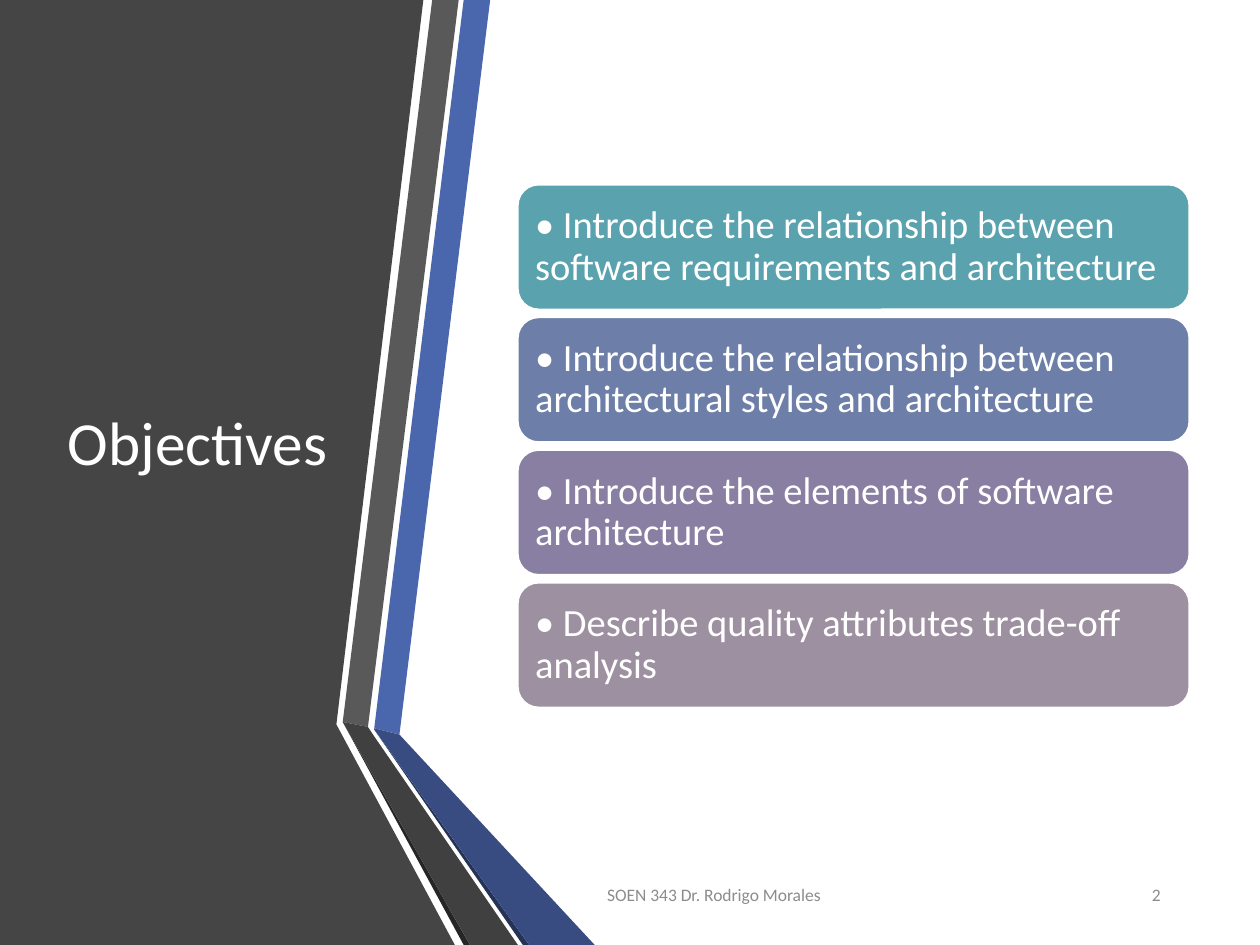
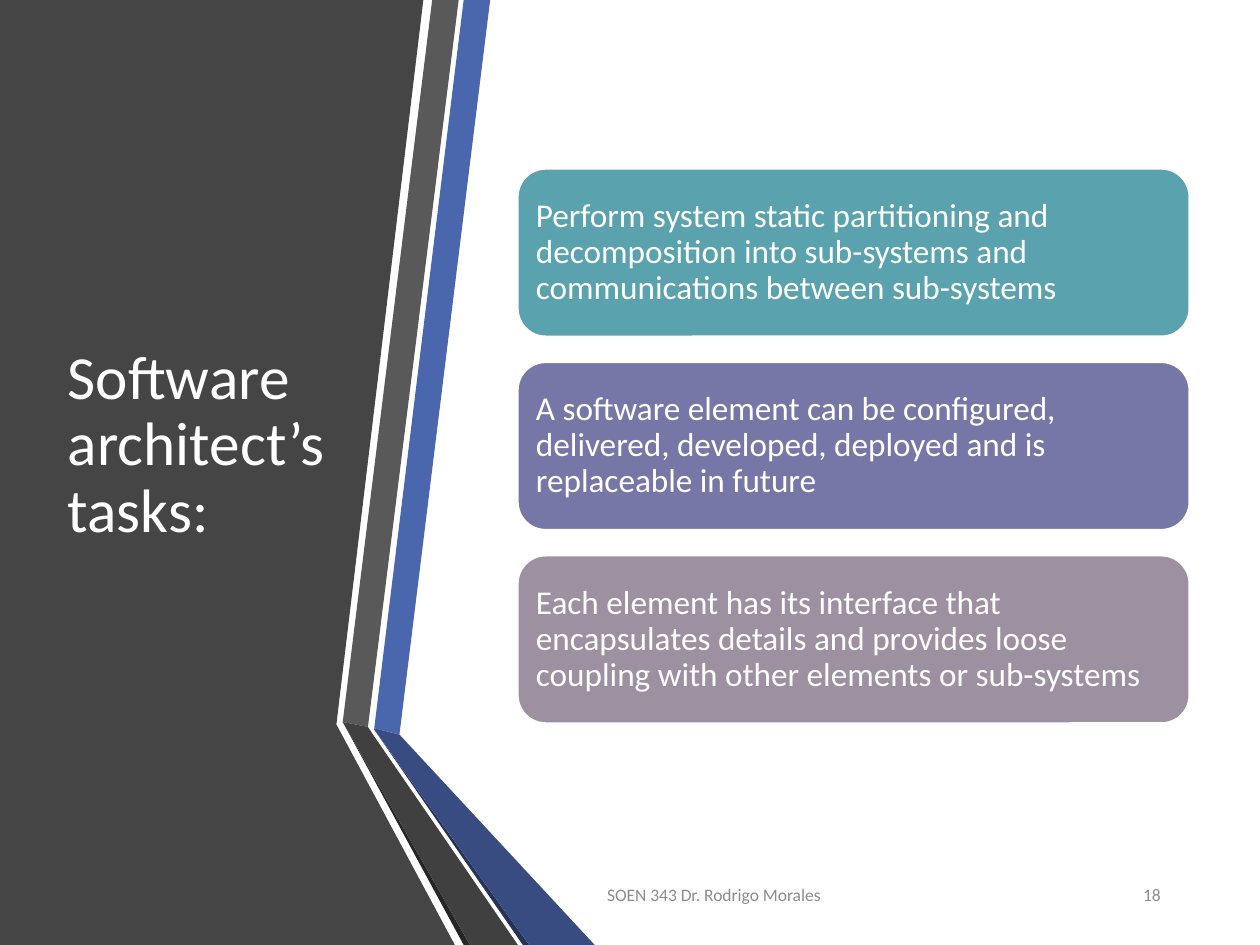
import pptx
import pptx.dml.color
import pptx.enum.shapes
import pptx.enum.text
import pptx.util

RGBColor = pptx.dml.color.RGBColor
Align = pptx.enum.text.PP_ALIGN
Anchor = pptx.enum.text.MSO_ANCHOR

WHITE = RGBColor(0xFF, 0xFF, 0xFF)
PANEL = RGBColor(0x45, 0x45, 0x45)
BLUE = RGBColor(0x4A, 0x66, 0xAC)
BLUE_FOLD = RGBColor(0x38, 0x4C, 0x81)
BLUE_EDGE = RGBColor(0x25, 0x33, 0x56)
GREY = RGBColor(0x59, 0x59, 0x59)
GREY_FOLD = RGBColor(0x40, 0x40, 0x40)
GREY_EDGE = RGBColor(0x26, 0x26, 0x26)
FOOTER_GREY = RGBColor(0x8C, 0x8C, 0x8C)
TEAL = RGBColor(0x5A, 0xA2, 0xAE)
STEEL = RGBColor(0x6D, 0x7F, 0xA8)
INDIGO = RGBColor(0x76, 0x77, 0xA6)
VIOLET = RGBColor(0x88, 0x7F, 0xA3)
MAUVE = RGBColor(0x9D, 0x90, 0xA0)

COLUMNS, ROWS = 100, 75
CARD_LEFT, CARD_WIDTH, CARD_MIDDLE = 41.1, 53.3, 35.4
FOOTER = "SOEN 343 Dr. Rodrigo Morales"

BANDS = [
    (PANEL, [(0, 0), (33.6, 0), (26.7, 57.5), (36.1, 75), (0, 75)]),
    (BLUE, [(29.7, 57.8), (31.7, 58.3), (38.9, 0), (36.8, 0)]),
    (GREY, [(36.4, 0), (34.3, 0), (27.2, 57.3), (29.2, 57.7)]),
    (GREY_EDGE, [(27.2, 57.3), (36.8, 75), (37.3, 75)]),
    (BLUE_EDGE, [(29.7, 57.9), (41.5, 75), (42, 75)]),
    (BLUE_FOLD, [(29.7, 57.9), (42, 75), (47.2, 75), (31.7, 58.3), (29.7, 57.8)]),
    (GREY_FOLD, [(41.1, 75), (29.6, 58.3), (29.2, 57.7), (27.2, 57.3), (37.3, 75)]),
]

SLIDES = [
    {
        "title": "Objectives",
        "number": "2",
        "card_format": {"height": 9.9, "gap": 0.63, "size": 22, "inset": 0.9},
        "cards": [
            (TEAL, "• Introduce the relationship between software requirements and architecture"),
            (STEEL, "• Introduce the relationship between architectural styles and architecture"),
            (VIOLET, "• Introduce the elements of software architecture"),
            (MAUVE, "• Describe quality attributes trade-off analysis"),
        ],
    },
    {
        "title": "Software architect’s tasks:",
        "number": "18",
        "card_format": {"height": 13.3, "gap": 2.05, "size": 19, "inset": 0.8},
        "cards": [
            (TEAL, "Perform system static partitioning and decomposition into "
                   "sub-systems and communications between sub-systems"),
            (INDIGO, "A software element can be configured, delivered, developed, "
                     "deployed and is replaceable in future"),
            (MAUVE, "Each element has its interface that encapsulates details and "
                    "provides loose coupling with other elements or sub-systems"),
        ],
    },
]


def apply_formats(target, formats):
    for name, value in formats.items():
        setattr(target, name, value)


class SlideBuilder:
    font_name = "Calibri"

    def __init__(self, deck):
        self.deck = deck
        self.page = None

    def new_page(self):
        self.page = self.deck.slides.add_slide(self.deck.slide_layouts[6])

    def x(self, columns):
        return round(self.deck.slide_width * columns / COLUMNS)

    def y(self, rows):
        return round(self.deck.slide_height * rows / ROWS)

    def area(self, left, top, width, height):
        return self.x(left), self.y(top), self.x(width), self.y(height)

    def paint(self, shape, color):
        shape.shadow.inherit = False
        shape.fill.solid()
        shape.fill.fore_color.rgb = color

    def band(self, color, corners):
        points = [(self.x(column), self.y(row)) for column, row in corners]
        outline = self.page.shapes.build_freeform(*points[0])
        outline.add_line_segments(points[1:], close=True)
        shape = outline.convert_to_shape()
        self.paint(shape, color)
        shape.line.fill.background()

    def set_text(self, box, text, size, color=WHITE, frame_format=None, **para_format):
        frame = box.text_frame
        apply_formats(frame, {"word_wrap": True, "vertical_anchor": Anchor.MIDDLE,
                              **(frame_format or {})})
        para = frame.paragraphs[0]
        apply_formats(para, {"alignment": Align.LEFT, **para_format})
        span = para.add_run()
        span.text = text
        apply_formats(span.font, {"name": self.font_name, "size": pptx.util.Pt(size)})
        span.font.color.rgb = color

    def label(self, area, text, size, **formats):
        box = self.page.shapes.add_textbox(*self.area(*area))
        self.set_text(box, text, size, **formats)

    def card(self, color, text, top, height, size, inset):
        box = self.page.shapes.add_shape(
            pptx.enum.shapes.MSO_SHAPE.ROUNDED_RECTANGLE,
            *self.area(CARD_LEFT, top, CARD_WIDTH, height))
        self.paint(box, color)
        box.line.color.rgb = WHITE
        box.line.width = pptx.util.Pt(1)
        margins = {f"margin_{side}": self.x(inset) for side in ("left", "top", "right", "bottom")}
        self.set_text(box, text, size, frame_format=margins, line_spacing=0.9)

    def card_stack(self, cards, height, gap, size, inset):
        pitch = height + gap
        first = CARD_MIDDLE - (len(cards) * pitch - gap) / 2
        for index, (color, text) in enumerate(cards):
            self.card(color, text, first + index * pitch, height, size, inset)

    def footer(self, number):
        formats = {"color": FOOTER_GREY, "space_after": pptx.util.Pt(6)}
        self.label((47.2, 69, 32, 4), FOOTER, 10, **formats)
        self.label((84.2, 69, 8.9, 4), number, 10, alignment=Align.RIGHT, **formats)


def main():
    deck = pptx.Presentation()
    apply_formats(deck, {"slide_width": pptx.util.Inches(10),
                         "slide_height": pptx.util.Inches(7.5)})
    builder = SlideBuilder(deck)
    for content in SLIDES:
        builder.new_page()
        for color, corners in BANDS:
            builder.band(color, corners)
        builder.label((4.4, 7.5, 22.8, 55.8), content["title"], 35, line_spacing=0.9)
        builder.card_stack(content["cards"], **content["card_format"])
        builder.footer(content["number"])
    deck.save("out.pptx")


if __name__ == "__main__":
    main()
